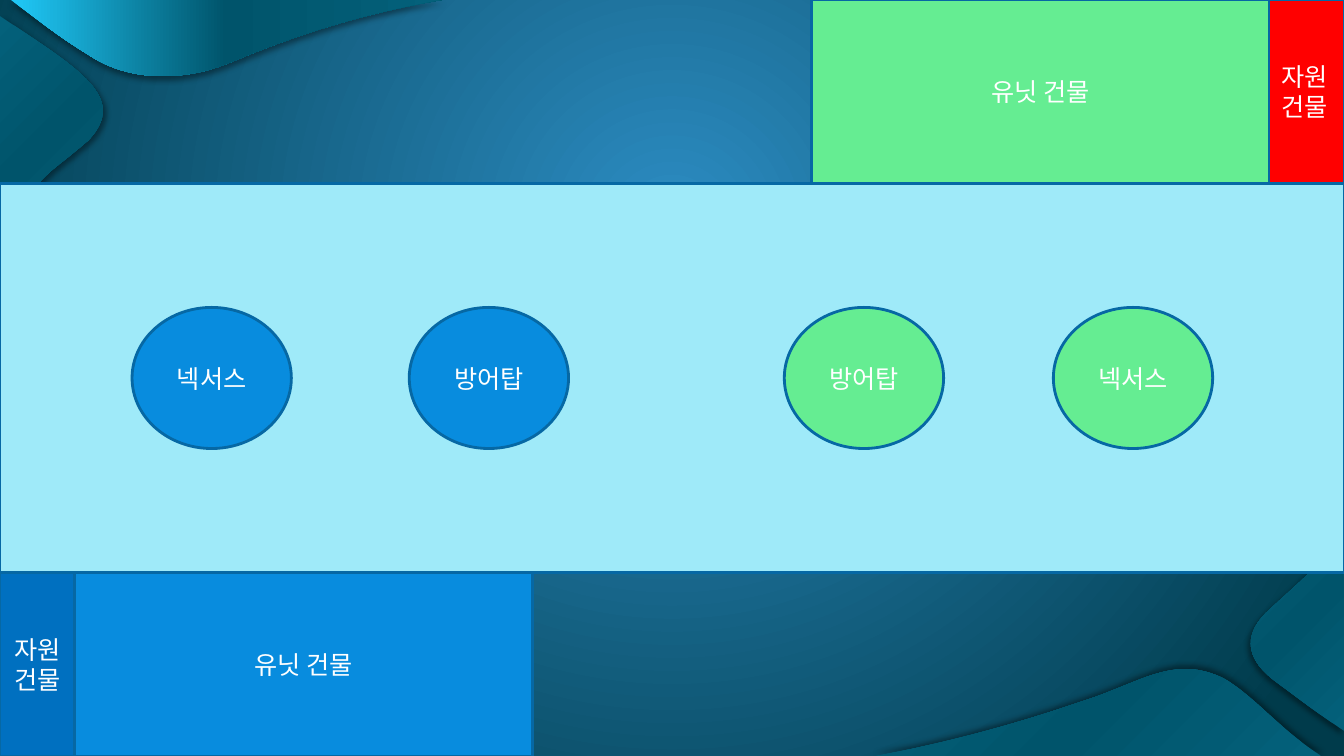
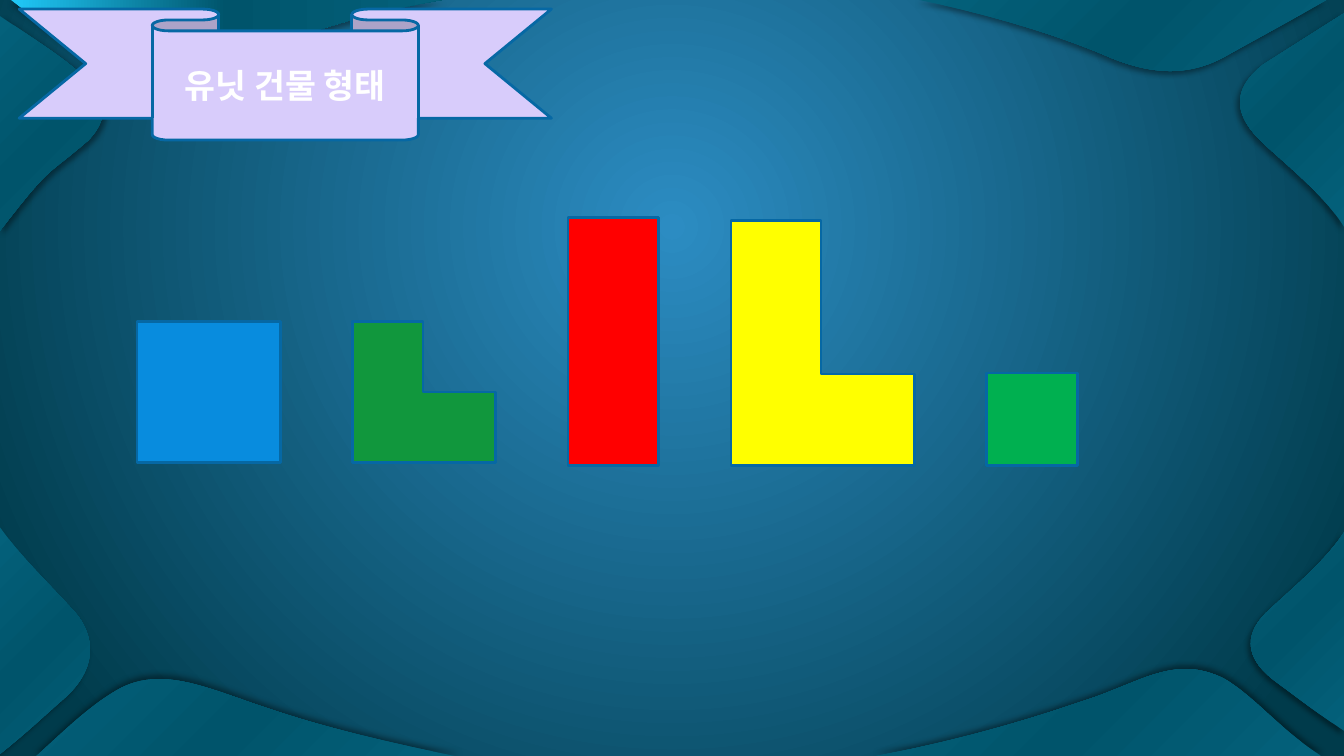
import pptx
import pptx.dml.color
import pptx.enum.shapes
import pptx.enum.text
import pptx.oxml
import pptx.oxml.ns
import pptx.util

Pt = pptx.util.Pt
SHAPE = pptx.enum.shapes.MSO_SHAPE

WIDTH, HEIGHT = 960, 540
FONT = "Lato"
COLOURS = {
    "white": "FFFFFF", "black": "000000", "outline": "0668A4",
    "glow": "2C8CC2", "deep": "003B4B",
    "bright": "20C9F8", "teal": "04617B", "dark_teal": "00546B",
    "field": "9FEAF9", "blue": "088CDE", "navy": "0070C0",
    "mint": "65ED92", "red": "FF0000", "lilac": "D8CCFB",
    "forest": "11973D", "yellow": "FFFF00", "green": "00B050",
}

# Each leaf: gradient start, gradient angle, shadow direction, points.
# The points are a start, a straight edge's end, then three per curve.
LEAVES = [
    ("bright", 0, 90, [
        (7.9, 0), (315.4, 0),
        (252, 10.8), (202.3, 28.8), (166.3, 43.9),
        (131, 59), (92.9, 57.6), (66.2, 41),
        (39.6, 24.5), (35.3, 20.2), (7.9, 0)]),
    ("teal", 45, 45, [
        (0, 11.5), (0, 164.9),
        (37.4, 116.6), (31.7, 127.4), (63.4, 100.1),
        (91.4, 69.8), (58.3, 50.4), (0, 11.5)]),
    ("teal", 45, 130, [
        (947.5, 0), (656.6, 0),
        (712.1, 11.5), (759.6, 26.6), (792.7, 41),
        (825.8, 54.7), (851, 53.3), (874.1, 41),
        (897.1, 28.1), (918.7, 16.6), (947.5, 0)]),
    ("teal", 45, 130, [
        (960, 9.4), (960, 162),
        (946.8, 140.4), (920.9, 119.5), (901.4, 101.5),
        (890.6, 90.7), (871.9, 69.8), (902.2, 46.1)]),
    ("teal", 45, 130, [
        (960, 522), (960, 380.2),
        (947, 400.3), (924.5, 419), (905.8, 436.3),
        (895.7, 445.7), (882, 464.4), (910.1, 486),
        (926.6, 498.2), (937.4, 506.9), (960, 522)]),
    ("teal", 45, 270, [
        (943.9, 540), (625.7, 540),
        (686.9, 528.5), (734.4, 514.1), (774.7, 500.4),
        (815, 487.4), (838.8, 467.3), (874.1, 484.6),
        (896.4, 497.5), (914.4, 521.3), (943.9, 540)]),
    ("teal", 45, 270, [
        (25.2, 540.7), (328.3, 540.7),
        (254.2, 525.6), (218.9, 515.5), (181.4, 502.6),
        (144, 489.6), (115.2, 477.4), (87.1, 491),
        (65.5, 502.6), (48.2, 519.8), (25.2, 540.7)]),
    ("teal", 45, 135, [
        (0, 538.6), (0, 376.6),
        (15.8, 398.9), (36.7, 418.3), (54, 437.8),
        (63.4, 448.6), (74.2, 472.3), (47.5, 497.5),
        (31.7, 511.2), (21.6, 521.3), (0, 538.6)]),
]


def colour(name):
    return pptx.dml.color.RGBColor.from_string(COLOURS[name])


def drawing_element(tag, content="", attributes=""):
    namespace = pptx.oxml.ns.nsdecls("a")
    return pptx.oxml.parse_xml(
        f"<a:{tag} {namespace} {attributes}>{content}</a:{tag}>")


def gradient(names, direction):
    """Make a gradient fill with evenly spaced stops."""
    step = 100000 // (len(names) - 1)
    stops = "".join(
        f'<a:gs pos="{index * step}"><a:srgbClr val="{COLOURS[name]}"/></a:gs>'
        for index, name in enumerate(names))
    return drawing_element("gradFill", f"<a:gsLst>{stops}</a:gsLst>{direction}",
                           'rotWithShape="1"')


# Shared backdrop

def bend_edges(shape):
    """Turn every three edges after the first into one curve."""
    outline = shape.element.xpath(".//a:path")[0]
    edges = outline.xpath("a:lnTo")[1:]
    for first in range(0, len(edges), 3):
        curve = drawing_element("cubicBezTo")
        edges[first].addprevious(curve)
        for edge in edges[first:first + 3]:
            curve.append(edge[0])
            outline.remove(edge)


def add_leaf(page, start_colour, angle, shadow_direction, points):
    start, *others = [(Pt(x), Pt(y)) for x, y in points]
    builder = page.shapes.build_freeform(*start)
    builder.add_line_segments(others, close=True)
    leaf = builder.convert_to_shape()
    bend_edges(leaf)
    properties = leaf.element.spPr
    properties.append(gradient((start_colour, "dark_teal", "teal"),
                               f'<a:lin ang="{angle * 60000}" scaled="0"/>'))
    leaf.line.fill.background()
    leaf.shadow.inherit = False
    properties.xpath("a:effectLst")[0].append(drawing_element(
        "outerShdw",
        f'<a:srgbClr val="{COLOURS["black"]}"><a:alpha val="40000"/></a:srgbClr>',
        f'blurRad="{Pt(4)}" dist="{Pt(3)}" dir="{shadow_direction * 60000}" '
        'algn="ctr" rotWithShape="0"'))
    return leaf


def set_backdrop(layout, page):
    """Give the layout its background and move the leaves drawn on page to it."""
    for holder in list(layout.placeholders):
        holder.element.getparent().remove(holder.element)
    layout.background.fill.solid()
    background = layout.element.xpath(".//p:bgPr")[0]
    background.replace(background[0], gradient(
        ("glow", "deep"),
        '<a:path path="circle"><a:fillToRect l="50000" t="30000" '
        'r="50000" b="70000"/></a:path>'))
    for leaf in LEAVES:
        layout.shapes.element.append(add_leaf(page, *leaf).element)


# Page elements

def write_text(shape, text, size=18, bold=False, color="white"):
    frame = shape.text_frame
    frame.word_wrap = True
    frame.vertical_anchor = pptx.enum.text.MSO_ANCHOR.MIDDLE
    para = frame.paragraphs[0]
    para.alignment = pptx.enum.text.PP_ALIGN.CENTER
    span = para.add_run()
    span.text = text
    span.font.name = FONT
    span.font.size = Pt(size)
    span.font.bold = bold
    span.font.color.rgb = colour(color)


def add_block(page, kind, left, top, width, height, fill, text=None, **text_format):
    block = page.shapes.add_shape(kind, Pt(left), Pt(top), Pt(width), Pt(height))
    block.shadow.inherit = False
    block.fill.solid()
    block.fill.fore_color.rgb = colour(fill)
    block.line.color.rgb = colour("outline")
    block.line.width = Pt(2)
    if text:
        write_text(block, text, **text_format)
    return block


def cut_corner(block, arm_width):
    """Make a rectangle an L whose foot is half its shorter side high."""
    geometry = block.element.xpath(".//a:prstGeom")[0]
    geometry.set("prst", "corner")
    guides = geometry.xpath("a:avLst")[0]
    for name, share in [("adj1", 0.5), ("adj2", arm_width)]:
        guides.append(drawing_element(
            "gd", attributes=f'name="{name}" fmla="val {round(share * 100000)}"'))


def build_map(page):
    side, unit_width = 131, 326.9
    bottom = HEIGHT - side
    resource, unit = "자원건물", "유닛 건물"
    tower, nexus = "방어탑", "넥서스"

    # Battlefield and resource buildings
    add_block(page, SHAPE.RECTANGLE, 0, side, WIDTH, bottom - side, "field")
    add_block(page, SHAPE.RECTANGLE, 903.6, 0, 56.4, side, "red", resource)
    add_block(page, SHAPE.RECTANGLE, 0, bottom, 53.3, side, "navy", resource)

    # Towers and bases
    for left, fill, name in [(292.3, "blue", tower), (94.3, "blue", nexus),
                             (560.2, "mint", tower), (752.4, "mint", nexus)]:
        add_block(page, SHAPE.OVAL, left, 219.6, 113.8, 100.8, fill, name)

    # Unit buildings
    add_block(page, SHAPE.RECTANGLE, 53.3, bottom, unit_width, side, "blue", unit)
    add_block(page, SHAPE.RECTANGLE, 579.6, 0, unit_width, side, "mint", unit)


def build_unit_shapes(page):
    # Title ribbon
    add_block(page, SHAPE.DOWN_RIBBON, 13.7, 6.5, 380.2, 93.6, "lilac",
              "유닛 건물 형태", size=24, bold=True)

    # Building outlines in a row with equal gaps
    left, gap = 97.9, 51.7
    for top, width, height, fill, arm_width in [
            (229.7, 102.2, 100.8, "blue", None),
            (229.7, 102.2, 100.8, "forest", 0.5),
            (155.5, 64.8, 177.1, "red", None),
            (157.7, 131, 175, "yellow", 0.49),
            (266.4, 64.8, 66.2, "green", None)]:
        building = add_block(page, SHAPE.RECTANGLE, left, top, width, height, fill)
        if arm_width:
            cut_corner(building, arm_width)
        left += width + gap


def main():
    deck = pptx.Presentation()
    deck.slide_width, deck.slide_height = Pt(WIDTH), Pt(HEIGHT)
    layout = deck.slide_layouts[6]
    map_page = deck.slides.add_slide(layout)
    set_backdrop(layout, map_page)
    build_map(map_page)
    build_unit_shapes(deck.slides.add_slide(layout))
    deck.save("out.pptx")


main()
